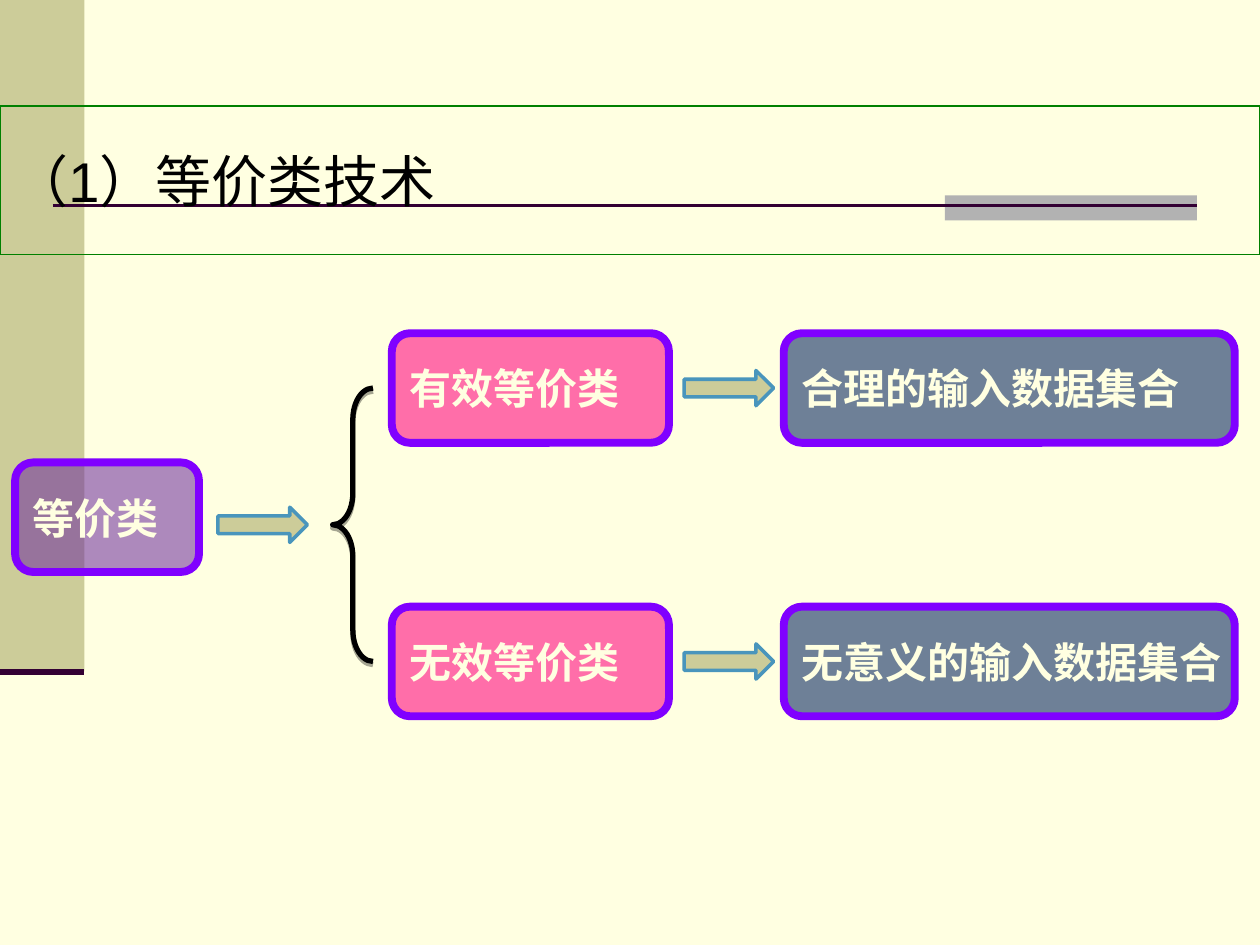
from lxml import etree
from pptx import Presentation
from pptx.dml.color import RGBColor
from pptx.enum.shapes import MSO_CONNECTOR, MSO_SHAPE
from pptx.enum.text import MSO_ANCHOR, PP_ALIGN
from pptx.oxml.ns import qn
from pptx.util import Inches, Pt

RECTANGLE = MSO_SHAPE.RECTANGLE
ROUNDED = MSO_SHAPE.ROUNDED_RECTANGLE
ARROW = MSO_SHAPE.RIGHT_ARROW
BRACE = MSO_SHAPE.LEFT_BRACE
STRAIGHT = MSO_CONNECTOR.STRAIGHT
MIDDLE = MSO_ANCHOR.MIDDLE
LEFT = PP_ALIGN.LEFT

COLUMNS, ROWS = 10, 7.5
FONT = "Arial"
COLORS = {
    "background": "FFFFE1", "sand": "CCCC99", "gray": "B2B2B2",
    "plum": "330033", "green": "008000", "black": "000000",
    "violet": "8000FF", "blue": "4995BC", "purple": "7030A0",
    "pink": "FF0080", "navy": "002060",
}


class Diagram:
    """Draws styled elements on a grid of columns and rows."""

    def __init__(self, presentation):
        self.column = presentation.slide_width / COLUMNS
        self.row = presentation.slide_height / ROWS
        self.slide = presentation.slides.add_slide(presentation.slide_layouts[6])
        fill = self.slide.background.fill
        fill.solid()
        fill.fore_color.rgb = self.color("background")

    def color(self, name):
        return RGBColor.from_string(COLORS[name])

    def place(self, *lengths):
        units = (self.column, self.row) * 2
        return [round(length * unit) for length, unit in zip(lengths, units)]

    def shape(self, kind, left, top, width, height, fill=None, line=None, weight=1):
        shape = self.slide.shapes.add_shape(kind, *self.place(left, top, width, height))
        shape.shadow.inherit = False
        if fill:
            shape.fill.solid()
            shape.fill.fore_color.rgb = self.color(fill)
        else:
            shape.fill.background()
        if line:
            shape.line.color.rgb = self.color(line)
            shape.line.width = Pt(weight)
        else:
            shape.line.fill.background()
        return shape

    def line(self, left, right, row, weight):
        ends = self.place(left, row, right, row)
        line = self.slide.shapes.add_connector(STRAIGHT, *ends)
        line.line.color.rgb = self.color("plum")
        line.line.width = Pt(weight)
        etree.SubElement(line._element.spPr, qn("a:effectLst"))

    def text(self, shape, text, size, color, bold=False):
        frame = shape.text_frame
        frame.text = text
        frame.word_wrap = False
        frame.vertical_anchor = MIDDLE
        paragraph = frame.paragraphs[0]
        paragraph.alignment = LEFT
        font = paragraph.runs[0].font
        font.name, font.size, font.bold = FONT, Pt(size), bold
        font.color.rgb = self.color(color)

    def title(self, text, top, height):
        shape = self.shape(RECTANGLE, 0, top, COLUMNS, height, line="green", weight=0.75)
        self.text(shape, text, 32, "black")

    def box(self, text, left, middle, width, fill, height=0.87):
        shape = self.shape(ROUNDED, left, middle - height / 2, width, height,
                           fill, "violet", 4.5)
        tint = shape.fill._xPr.find(qn("a:solidFill"))[0]
        etree.SubElement(tint, qn("a:alpha"), val="57000")
        self.text(shape, text, 24, "background", bold=True)

    def arrow(self, left, middle, width=0.71, height=0.28):
        self.shape(ARROW, left, middle - height / 2, width, height, "sand", "blue", 2)

    def brace(self, left, top, width, bottom):
        shape = self.shape(BRACE, left, top, width, bottom - top, line="black", weight=3)
        shape.adjustments[0] = 0.78
        effects = shape._element.spPr.find(qn("a:effectLst"))
        shadow = etree.SubElement(effects, qn("a:outerShdw"), blurRad="0",
                                  dist=str(Pt(1.8)), dir="5400000", rotWithShape="0")
        tint = etree.SubElement(shadow, qn("a:srgbClr"), val=COLORS["black"])
        etree.SubElement(tint, qn("a:alpha"), val="35000")


def main():
    presentation = Presentation()
    presentation.slide_width, presentation.slide_height = Inches(10), Inches(7.5)
    diagram = Diagram(presentation)

    # Side band, accent bar and rules
    diagram.shape(RECTANGLE, 0, 0, 0.67, 5.33, "sand")
    diagram.shape(RECTANGLE, 7.5, 1.55, 2, 0.2, "gray")
    diagram.line(0.42, 9.5, 1.63, 1.5)
    diagram.line(0, 0.67, 5.33, 3.5)

    diagram.title("（1）等价类技术", 0.84, 1.18)

    # Root of the classification
    upper, lower = 3.08, 5.25
    center = (upper + lower) / 2
    diagram.box("等价类", 0.12, center - 0.06, 1.46, "purple")
    diagram.arrow(1.73, center)
    diagram.brace(2.64, upper, 0.32, lower)

    # Each class leads to its set of inputs
    branches = [
        (upper, "有效等价类", "合理的输入数据集合"),
        (lower, "无效等价类", "无意义的输入数据集合"),
    ]
    for middle, name, inputs in branches:
        diagram.box(name, 3.11, middle, 2.2, "pink")
        diagram.arrow(5.43, middle)
        diagram.box(inputs, 6.22, middle, 3.58, "navy")

    presentation.save("out.pptx")


if __name__ == "__main__":
    main()
